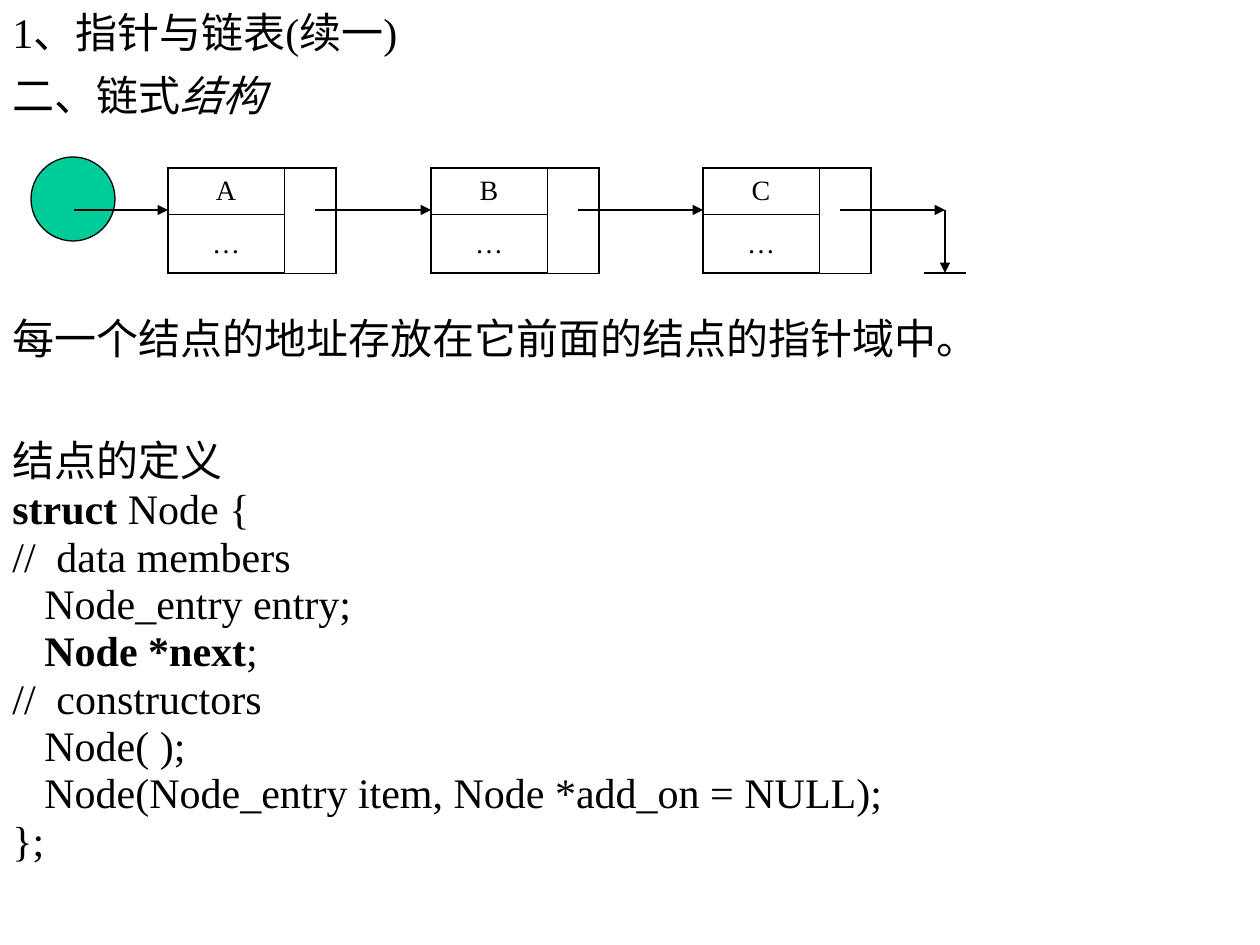
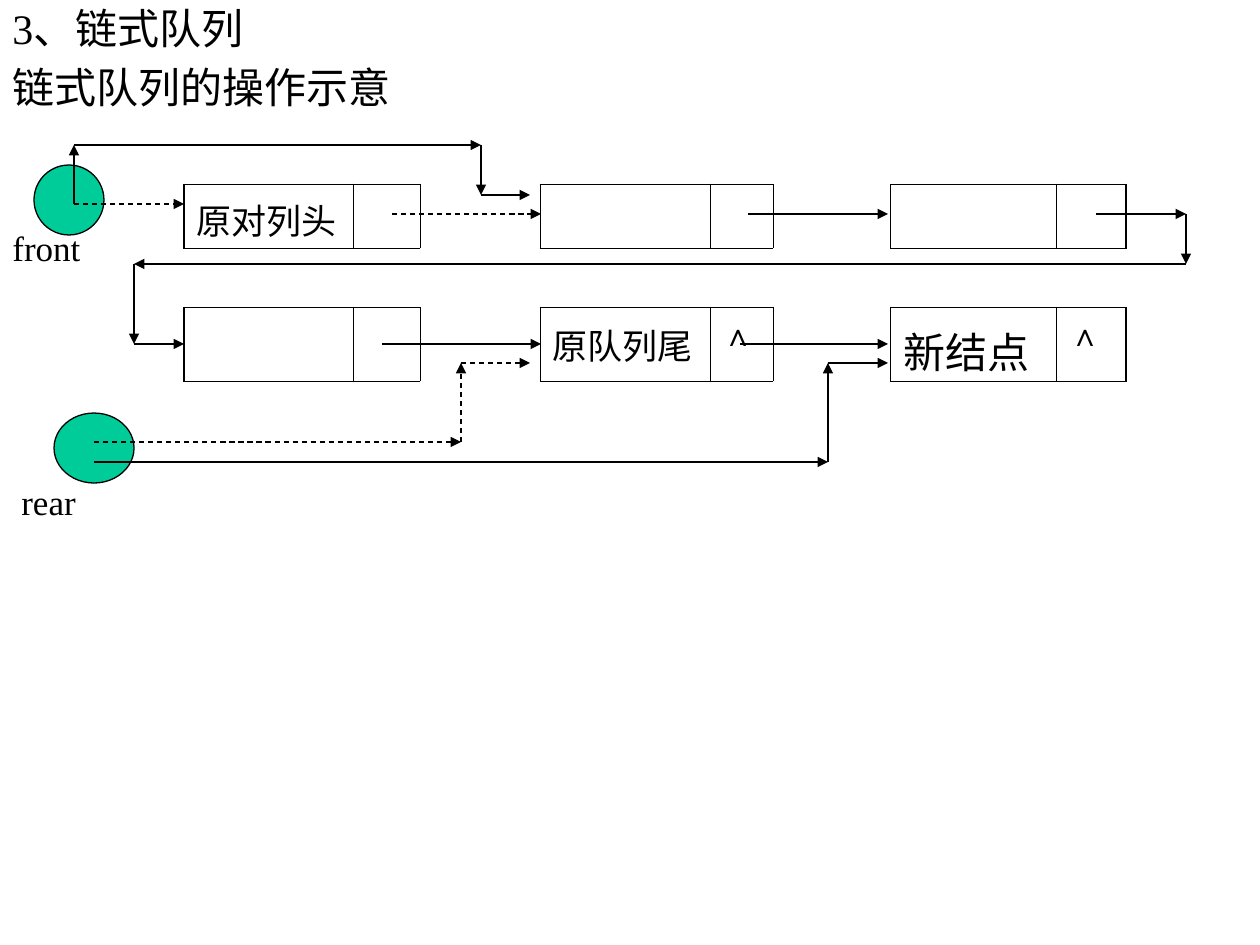
"""Build two slides on linked lists and linked queues."""
from dataclasses import dataclass
from lxml.etree import SubElement
from pptx import Presentation
from pptx.dml.color import RGBColor
from pptx.enum.dml import MSO_LINE
from pptx.enum.shapes import MSO_CONNECTOR, MSO_SHAPE
from pptx.enum.text import MSO_ANCHOR, PP_ALIGN
from pptx.oxml.ns import qn
from pptx.util import Pt

PX = 914400 / 126
PLAIN_TABLE = "{2D5ABB26-0587-4C30-8999-92F81FD0307C}"
NEIGHBOURS = {"L": (0, -1), "R": (0, 1), "T": (-1, 0), "B": (1, 0)}


@dataclass(frozen=True)
class Theme:
    """Colours, font, type sizes and line widths of the deck."""
    ink: RGBColor = RGBColor(0, 0, 0)
    accent: RGBColor = RGBColor(0x00, 0xCC, 0x99)
    font: str = "Times New Roman"
    heading: int = 24
    label: int = 20
    caret: int = 18
    small: int = 16
    line: float = 0.75
    thin: float = 0.45
    thick: float = 1.08


def px(length):
    """Turn px into EMU."""
    return round(length * PX)


def style_with(target, values):
    """Set each format value on the target."""
    for name, value in values.items():
        setattr(target, name, value)


class Deck:
    """Holds the style and the current slide and draws elements on it."""

    def __init__(self, theme):
        """Start an empty deck."""
        self.theme = theme
        self.deck = Presentation()
        self.deck.slide_width, self.deck.slide_height = px(1260), px(945)
        self.page = None

    def new_page(self, title, subtitle, title_height):
        """Add a slide with its title and subtitle."""
        self.page = self.deck.slides.add_slide(self.deck.slide_layouts[6])
        self.text((0, 0, 1071, title_height), [title], anchor=MSO_ANCHOR.MIDDLE)
        self.text((0, title_height, 1228, 63), [subtitle])

    def fill_para(self, para, spans, size, **form):
        """Fill a paragraph with a string or with (text, format) spans."""
        if isinstance(spans, str):
            spans = [(spans, {})]
        for words, style in spans:
            span = para.add_run()
            span.text = words
            style_with(span.font, {"name": self.theme.font, "size": Pt(size), **style})
            span.font.color.rgb = self.theme.ink
        style_with(para, form)

    def text(self, place, lines, size=None, anchor=MSO_ANCHOR.TOP):
        """Add a text box with one paragraph for each line."""
        box = self.page.shapes.add_textbox(*map(px, place))
        frame = box.text_frame
        style_with(frame, {"word_wrap": True, "vertical_anchor": anchor})
        for index, line in enumerate(lines):
            para = frame.add_paragraph() if index else frame.paragraphs[0]
            self.fill_para(para, line, size or self.theme.heading)
        return frame.paragraphs

    def code(self, place, heading, lines):
        """Add a heading followed by tightly set (indented, spans) code lines."""
        paras = self.text(place, [heading] + [spans for _, spans in lines])
        for para, (indented, _) in zip(paras[1:], lines):
            style_with(para, {"line_spacing": 0.7, "space_before": Pt(6.9)})
            properties = para._p.get_or_add_pPr()
            properties.set("marL", str(px(32 if indented else 0)))
            stops = SubElement(properties, qn("a:tabLst"))
            SubElement(stops, qn("a:tab"), pos=str(px(44)), algn="l")

    def circle(self, *place):
        """Add a filled pointer circle."""
        shape = self.page.shapes.add_shape(MSO_SHAPE.OVAL, *map(px, place))
        shape.shadow.inherit = False
        shape.fill.solid()
        shape.fill.fore_color.rgb = self.theme.accent
        shape.line.color.rgb = self.theme.ink
        shape.line.width = Pt(self.theme.line)

    def route(self, *points, dashed=False, arrow=True):
        """Join the points with straight lines, each ending in an arrowhead."""
        for start, end in zip(points, points[1:]):
            link = self.page.shapes.add_connector(
                MSO_CONNECTOR.STRAIGHT, *map(px, start + end))
            link.line.color.rgb = self.theme.ink
            link.line.width = Pt(self.theme.line)
            if dashed:
                link.line.dash_style = MSO_LINE.DASH
            properties = link._element.spPr
            if arrow:
                SubElement(properties.find(qn("a:ln")), qn("a:tailEnd"), type="triangle")
            SubElement(properties, qn("a:effectLst"))

    def border(self, cell, side, width):
        """Draw one border of a cell."""
        line = SubElement(cell._tc.get_or_add_tcPr(), qn(f"a:ln{side}"), w=str(int(Pt(width))))
        fill = SubElement(line, qn("a:solidFill"))
        SubElement(fill, qn("a:srgbClr"), val=str(self.theme.ink))

    def table(self, left, top, columns, rows, is_node):
        """Add a table whose node cells are outlined, heavier at its outer edge."""
        place = (left, top, sum(columns), sum(rows))
        table = self.page.shapes.add_table(
            len(rows), len(columns), *map(px, place)).table
        style_with(table, {"first_row": False, "horz_banding": False})
        table._tbl.tblPr.find(qn("a:tableStyleId")).text = PLAIN_TABLE
        for column, width in zip(table.columns, columns):
            column.width = px(width)
        for row, height in zip(table.rows, rows):
            row.height = px(height)
        for r in range(len(rows)):
            for c in range(len(columns)):
                cell = table.cell(r, c)
                for side, (down, right) in NEIGHBOURS.items():
                    y, x = r + down, c + right
                    inside = 0 <= y < len(rows) and 0 <= x < len(columns)
                    if is_node(r, c) or (inside and is_node(y, x)):
                        width = self.theme.thin if inside else self.theme.thick
                        self.border(cell, side, width)
                cell.fill.background()
        return table

    def list_node(self, left, name):
        """Add a list node with an entry, other data and a pointer field."""
        table = self.table(left, 168, (116, 52), (46, 59), lambda r, c: True)
        table.cell(0, 1).merge(table.cell(1, 1))
        for row, words in enumerate((name, "…")):
            cell = table.cell(row, 0)
            cell.vertical_anchor = MSO_ANCHOR.MIDDLE
            self.fill_para(cell.text_frame.paragraphs[0], words, self.theme.small,
                           alignment=PP_ALIGN.CENTER)


def linked_list(deck):
    """Draw the linked list and the node definition."""
    deck.new_page("1、指针与链表(续一)", [("二、链式", {}), ("结构", {"italic": True})], 63)
    for left, name in ((168, "A"), (431, "B"), (703, "C")):
        deck.list_node(left, name)
    deck.circle(31, 157, 84, 84)
    for start, end in ((74, 168), (315, 431), (578, 703)):
        deck.route((start, 210), (end, 210))
    deck.route((840, 210), (945, 210), (945, 273))
    deck.route((924, 273), (966, 273), arrow=False)

    deck.text((0, 306, 1228, 63), ["每一个结点的地址存放在它前面的结点的指针域中。"])
    bold = {"bold": True}
    deck.code((0, 428, 1228, 464), "结点的定义", [
        (False, [("struct", bold), (" Node {", {})]),
        (False, "//\tdata members"),
        (True, "Node_entry entry;"),
        (True, [("Node *next", bold), (";", {})]),
        (False, "//\tconstructors"),
        (True, "Node( );"),
        (True, "Node(Node_entry item, Node *add_on = NULL);"),
        (False, "};"),
    ])


def linked_queue(deck):
    """Draw the queue before and after its front and rear move."""
    theme = deck.theme
    deck.new_page("3、链式队列", "链式队列的操作示意", 55)
    deck.text((0, 220, 126, 54), ["front"], theme.label)
    deck.text((9, 474, 126, 54), ["rear"], theme.label)

    queue = deck.table(184, 125, (169, 67, 120, 170, 63, 118, 166, 69),
                       (59, 64, 59, 74, 59),
                       lambda r, c: r % 2 == 1 and c % 3 != 2)
    for row, column, words, size, top in (
            (1, 0, "原对列头", theme.label, 10),
            (3, 3, "原队列尾", theme.label, 12),
            (3, 4, [("∧", {"italic": True})], theme.caret, 11),
            (3, 6, "新结点", theme.heading, 13),
            (3, 7, "∧", theme.caret, 11)):
        cell = queue.cell(row, column)
        cell.margin_top = px(top)
        deck.fill_para(cell.text_frame.paragraphs[0], words, size)

    deck.route((392, 214), (541, 214), dashed=True)
    deck.route((748, 214), (888, 214))
    deck.route((1096, 214), (1186, 214), (1186, 264), (134, 264), (134, 344), (184, 344))
    deck.route((382, 344), (541, 344))
    deck.route((740, 344), (888, 344))
    deck.circle(34, 165, 70, 70)
    deck.route((74, 204), (184, 204), dashed=True)
    deck.route((74, 204), (74, 145), (481, 145), (481, 195), (530, 195))
    deck.circle(54, 413, 80, 70)
    deck.route((94, 442), (461, 442), (461, 363), (530, 363), dashed=True)
    deck.route((94, 462), (828, 462), (828, 363), (888, 363))


def main():
    """Build and save the deck."""
    deck = Deck(Theme())
    linked_list(deck)
    linked_queue(deck)
    deck.deck.save("out.pptx")


if __name__ == "__main__":
    main()
